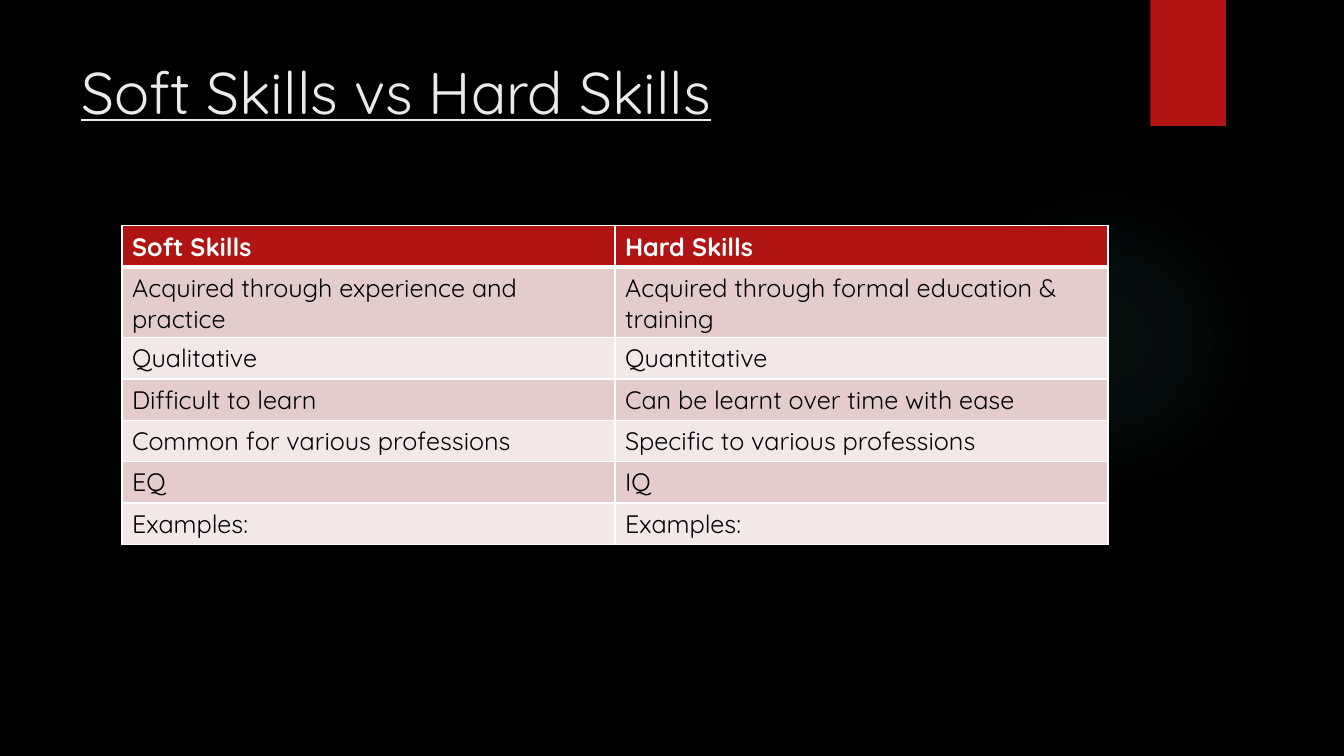
from dataclasses import dataclass

from lxml import etree
from pptx import Presentation
from pptx import util as u
from pptx.dml.color import RGBColor
from pptx.enum import shapes, text
from pptx.oxml import parse_xml
from pptx.oxml.ns import nsdecls, qn

FONT = "Quicksand"
COLORS = {
    "background": "000000",
    "glow": "50B9C1",
    "accent": "B01513",
    "title": "EBEBEB",
    "white": "FFFFFF",
    "body": "000000",
    "odd": "E4CCCC",
    "even": "F2E8E7",
}
GLOW_STOPS = ((0, 7), (36, 6), (69, 0))
ROW_HEIGHT = 0.41
COLUMN_WIDTH = 4.89


@dataclass(frozen=True)
class Box:
    left: float
    top: float
    width: float
    height: float

    def lengths(self) -> tuple:
        return tuple(u.Inches(v) for v in (self.left, self.top, self.width, self.height))


@dataclass(frozen=True)
class Comparison:
    soft: str
    hard: str


ROWS = (
    Comparison("Soft Skills", "Hard Skills"),
    Comparison("Acquired through experience and practice",
               "Acquired through formal education & training"),
    Comparison("Qualitative", "Quantitative"),
    Comparison("Difficult to learn", "Can be learnt over time with ease"),
    Comparison("Common for various professions", "Specific to various professions"),
    Comparison("EQ", "IQ"),
    Comparison("Examples:", "Examples:"),
)


def rgb(name: str) -> RGBColor:
    return RGBColor.from_string(COLORS[name])


def style_run(r, size: float, color: str, bold: bool = False, underline: bool = False) -> None:
    r.font.name = FONT
    r.font.size = u.Pt(size)
    r.font.color.rgb = rgb(color)
    r.font.bold = bold
    r.font.underline = underline


def add_plain_shape(s, kind, box: Box, color: str):
    sp = s.shapes.add_shape(kind, *box.lengths())
    sp.shadow.inherit = False
    sp.fill.solid()
    sp.fill.fore_color.rgb = rgb(color)
    sp.line.fill.background()
    return sp


def add_glow(s, box: Box) -> None:
    sp = add_plain_shape(s, shapes.MSO_SHAPE.OVAL, box, "glow")
    stops = "".join(
        f'<a:gs pos="{pos * 1000}"><a:srgbClr val="{COLORS["glow"]}">'
        f'<a:alpha val="{alpha * 1000}"/></a:srgbClr></a:gs>'
        for pos, alpha in GLOW_STOPS
    )
    gradient = parse_xml(
        f'<a:gradFill {nsdecls("a")} rotWithShape="1"><a:gsLst>{stops}</a:gsLst>'
        '<a:path path="circle"><a:fillToRect l="50000" t="50000" r="50000" b="50000"/>'
        '</a:path></a:gradFill>'
    )
    spPr = sp.element.spPr
    spPr.replace(spPr.find(qn("a:solidFill")), gradient)


def add_title(s, box: Box, title: str) -> None:
    tf = s.shapes.add_textbox(*box.lengths()).text_frame
    tf.word_wrap = True
    tf.vertical_anchor = text.MSO_ANCHOR.TOP
    tf.text = title
    style_run(tf.paragraphs[0].runs[0], 42, "title", underline=True)


def set_borders(cell, top: float, bottom: float) -> None:
    tcPr = cell._tc.get_or_add_tcPr()
    for i, (side, width) in enumerate((("L", 1), ("R", 1), ("T", top), ("B", bottom))):
        ln = etree.Element(qn(f"a:ln{side}"), w=str(u.Pt(width)))
        fill = etree.SubElement(ln, qn("a:solidFill"))
        etree.SubElement(fill, qn("a:srgbClr"), val=COLORS["white"])
        tcPr.insert(i, ln)


def add_comparison_table(s, left: float, top: float, rows: tuple[Comparison, ...]) -> None:
    box = Box(left, top, 2 * COLUMN_WIDTH, len(rows) * ROW_HEIGHT)
    table = s.shapes.add_table(len(rows), 2, *box.lengths()).table
    for column in table.columns:
        column.width = u.Inches(COLUMN_WIDTH)
    for i, row in enumerate(rows):
        table.rows[i].height = u.Inches(ROW_HEIGHT)
        header = i == 0
        fill = "accent" if header else ("odd" if i % 2 else "even")
        for j, label in enumerate((row.soft, row.hard)):
            cell = table.cell(i, j)
            cell.text_frame.text = label
            style_run(cell.text_frame.paragraphs[0].runs[0], 18,
                      "white" if header else "body", bold=header)
            cell.fill.solid()
            cell.fill.fore_color.rgb = rgb(fill)
            set_borders(cell, top=3 if i == 1 else 1, bottom=3 if header else 1)


def main() -> None:
    prs = Presentation()
    prs.slide_width = u.Inches(13.33)
    prs.slide_height = u.Inches(7.5)
    s = prs.slides.add_slide(prs.slide_layouts[6])
    s.background.fill.solid()
    s.background.fill.fore_color.rgb = rgb("background")
    add_glow(s, Box(9.41, 1.83, 3.08, 3.08))
    add_plain_shape(s, shapes.MSO_SHAPE.RECTANGLE, Box(11.41, 0, 0.75, 1.25), "accent")
    add_title(s, Box(0.71, 0.5, 10.29, 1.53), "Soft Skills vs Hard Skills")
    add_comparison_table(s, 1.21, 2.24, ROWS)
    prs.save("out.pptx")


if __name__ == "__main__":
    main()
